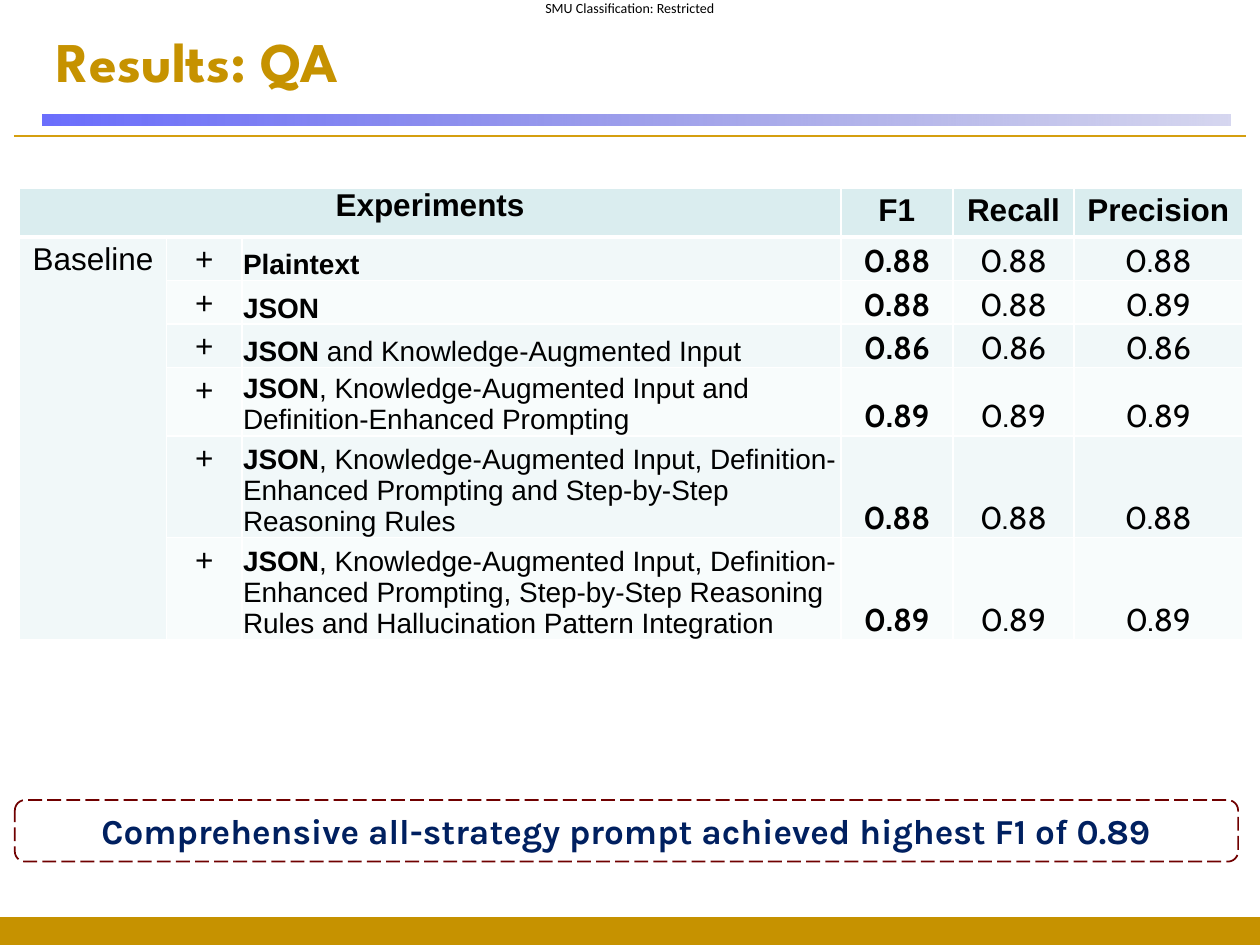
import pptx
import pptx.dml.color
import pptx.enum.dml
import pptx.enum.shapes
import pptx.enum.text
import pptx.oxml
import pptx.oxml.ns
import pptx.util
from lxml import etree

Cm, Pt = pptx.util.Cm, pptx.util.Pt
SHAPE = pptx.enum.shapes.MSO_SHAPE
ALIGN = pptx.enum.text.PP_ALIGN
ANCHOR = pptx.enum.text.MSO_ANCHOR

# Content
CLASSIFICATION = "SMU Classification: Restricted"
TITLE = "Results: QA"
TAKEAWAY = "Comprehensive all-strategy prompt achieved highest F1 of 0.89"
HEADERS = {0: "Experiments", 3: "F1", 4: "Recall", 5: "Precision"}
BASELINE = "Baseline"
# bold format name, further strategies, (F1, recall, precision)
RESULTS = [
    ("Plaintext", "", ("0.88", "0.88", "0.88")),
    ("JSON", "", ("0.88", "0.88", "0.89")),
    ("JSON", " and Knowledge-Augmented Input", ("0.86", "0.86", "0.86")),
    ("JSON", ", Knowledge-Augmented Input and Definition-Enhanced Prompting",
     ("0.89", "0.89", "0.89")),
    ("JSON", ", Knowledge-Augmented Input, Definition-Enhanced Prompting and "
     "Step-by-Step Reasoning Rules", ("0.88", "0.88", "0.88")),
    ("JSON", ", Knowledge-Augmented Input, Definition-Enhanced Prompting, "
     "Step-by-Step Reasoning Rules and Hallucination Pattern Integration",
     ("0.89", "0.89", "0.89")),
]
COL_WIDTHS = [2.97, 1.52, 12.07, 2.26, 2.44, 3.4]
ROW_HEIGHTS = [0.99, 0.36, 0.84, 0.66, 1.04, 1.55, 1.65]
HEAD_FILL, BANDS = "DAEDEF", ("F1F8F9", "F8FCFC")
GOLD, WHITE, BLACK = "C69200", "FFFFFF", "000000"


def rgb(value):
    return pptx.dml.color.RGBColor.from_string(value)


def add_run(p, text, size, font="Arial", color=BLACK, bold=False):
    r = p.add_run()
    r.text = text
    r.font.size, r.font.name, r.font.bold = Pt(size), font, bold
    r.font.color.rgb = rgb(color)


def add_box(kind, left, top, width, height):
    sp = slide.shapes.add_shape(kind, Cm(left), Cm(top), Cm(width), Cm(height))
    sp.shadow.inherit = False
    sp.line.fill.background()
    return sp


def add_text(left, top, width, height, margins=None):
    sp = slide.shapes.add_textbox(Cm(left), Cm(top), Cm(width), Cm(height))
    tf = sp.text_frame
    tf.word_wrap = True
    tf.vertical_anchor = ANCHOR.MIDDLE
    if margins is not None:
        tf.margin_left = tf.margin_right = tf.margin_top = tf.margin_bottom = Cm(margins)
    return tf.paragraphs[0]


def style_cell(cell, fill, bottom=1):
    tcPr = cell._tc.get_or_add_tcPr()
    for side, width in (("L", 1), ("R", 1), ("T", 1), ("B", bottom)):
        ln = etree.SubElement(tcPr, pptx.oxml.ns.qn("a:ln" + side), w=str(Pt(width)))
        solid = etree.SubElement(ln, pptx.oxml.ns.qn("a:solidFill"))
        etree.SubElement(solid, pptx.oxml.ns.qn("a:srgbClr"), val=WHITE)
    cell.fill.solid()
    cell.fill.fore_color.rgb = rgb(fill)
    cell.margin_left = cell.margin_right = Cm(0.17)
    cell.margin_top = cell.margin_bottom = 0


def label(cell, text, bold=False, spaced=True):
    p = cell.text_frame.paragraphs[0]
    p.alignment = ALIGN.CENTER
    if spaced:
        p.line_spacing, p.space_after = 1.15, Pt(8)
    add_run(p, text, 18, bold=bold)


def entry(cell):
    """Bottom-aligned cell with tight margins; returns its paragraph."""
    cell.vertical_anchor = ANCHOR.BOTTOM
    cell.margin_left = cell.margin_right = cell.margin_top = Cm(0.02)
    return cell.text_frame.paragraphs[0]


prs = pptx.Presentation()
prs.slide_width, prs.slide_height = Cm(25.4), Cm(19.05)
slide = prs.slides.add_slide(prs.slide_layouts[6])

# Rule under the title, classification mark and footer band
rule = slide.shapes.add_connector(
    pptx.enum.shapes.MSO_CONNECTOR.STRAIGHT, Cm(0.28), Cm(2.74), Cm(25.12), Cm(2.74))
rule.line.color.rgb, rule.line.width = rgb("D59F0F"), Pt(0.75)
etree.SubElement(rule._element.spPr, pptx.oxml.ns.qn("a:effectLst"))

p = add_text(10.7, 0, 4, 0.33, margins=0)
p.alignment = ALIGN.CENTER
add_run(p, CLASSIFICATION, 8, "Calibri")

footer = add_box(SHAPE.RECTANGLE, 0, 18.49, 25.4, 0.56)
footer.fill.solid()
footer.fill.fore_color.rgb = rgb(GOLD)

# Fading bar
bar = add_box(SHAPE.RECTANGLE, 0.86, 2.31, 23.95, 0.23)
bar.fill.gradient()
bar.fill.gradient_angle = 0
for stop, (color, opacity) in zip(bar.fill.gradient_stops, (("464AFC", 80), ("3235B4", 20))):
    stop.color.rgb = rgb(color)
for clr, opacity in zip(bar._element.spPr.iter(pptx.oxml.ns.qn("a:srgbClr")), (80, 20)):
    etree.SubElement(clr, pptx.oxml.ns.qn("a:alpha"), val=str(opacity * 1000))

# Title
add_run(add_text(0.89, 0.33, 23.06, 1.78), TITLE, 32, "League Spartan", GOLD, True)

# Results table
table = slide.shapes.add_table(
    len(ROW_HEIGHTS), len(COL_WIDTHS), Cm(0.39), Cm(3.79),
    Cm(sum(COL_WIDTHS)), Cm(sum(ROW_HEIGHTS))).table
table.first_row = table.horz_banding = False
for col, width in zip(table.columns, COL_WIDTHS):
    col.width = Cm(width)
for i, (row, height) in enumerate(zip(table.rows, ROW_HEIGHTS)):
    row.height = Cm(height)
    for cell in row.cells:
        if i == 0:
            style_cell(cell, HEAD_FILL, bottom=3)
        else:
            style_cell(cell, BANDS[(i - 1) % 2])
table.cell(0, 0).merge(table.cell(0, 2))
table.cell(1, 0).merge(table.cell(len(RESULTS), 0))

for col, text in HEADERS.items():
    label(table.cell(0, col), text, bold=True, spaced=col > 0)
label(table.cell(1, 0), BASELINE)
for i, (name, strategies, scores) in enumerate(RESULTS, 1):
    label(table.cell(i, 1), "+")
    p = entry(table.cell(i, 2))
    add_run(p, name, 16, bold=True)
    if strategies:
        add_run(p, strategies, 16)
    for j, score in enumerate(scores):
        p = entry(table.cell(i, 3 + j))
        p.alignment = ALIGN.CENTER
        add_run(p, score, 18, "Cabin", bold=j == 0)

# Takeaway
sp = add_box(SHAPE.ROUNDED_RECTANGLE, 0.3, 16.13, 24.66, 1.24)
sp.fill.background()
sp.line.color.rgb, sp.line.width = rgb("700000"), Pt(1)
sp.line.dash_style = pptx.enum.dml.MSO_LINE.LONG_DASH
tf = sp.text_frame
tf.word_wrap = True
tf.vertical_anchor = ANCHOR.MIDDLE
p = tf.paragraphs[0]
p.alignment = ALIGN.CENTER
add_run(p, TAKEAWAY, 20, "Karla", "002060", True)

prs.save("out.pptx")
